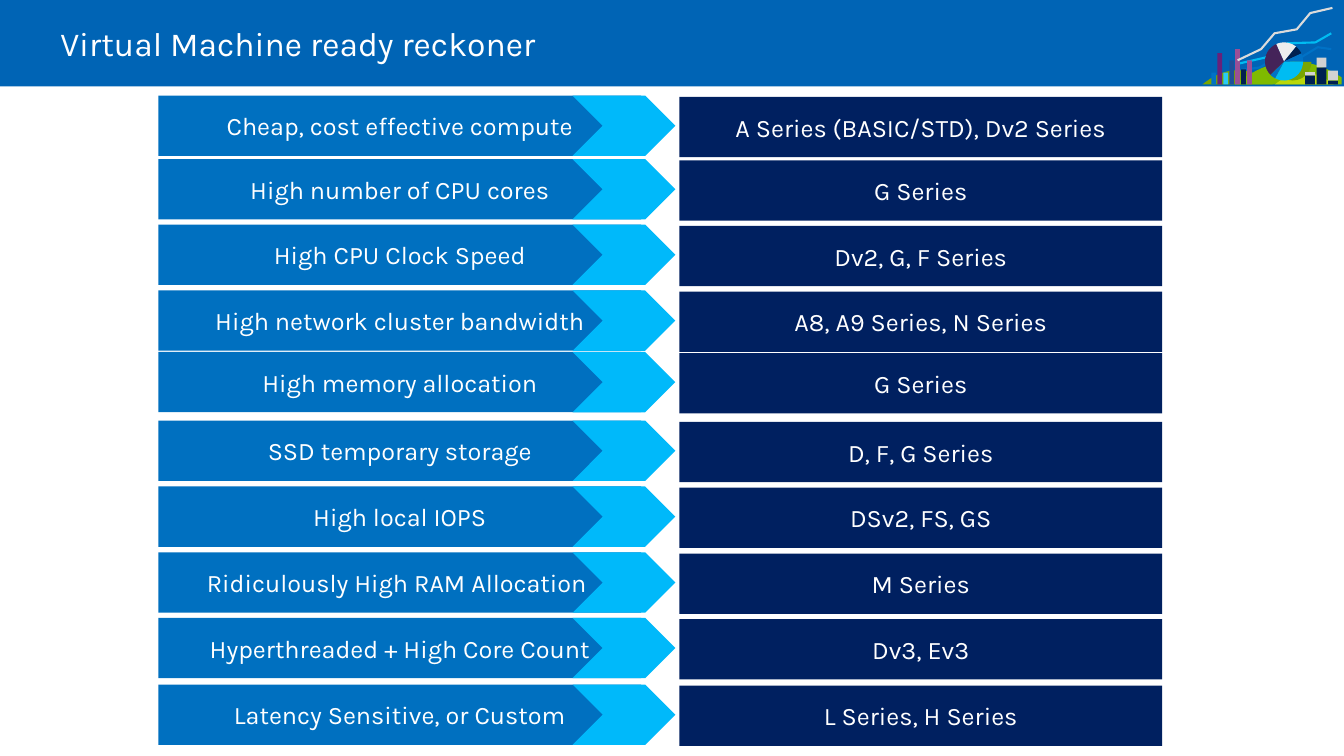
from math import cos, radians, sin

from pptx import Presentation
from pptx.dml.color import RGBColor
from pptx.enum.shapes import MSO_SHAPE
from pptx.enum.text import MSO_ANCHOR, PP_ALIGN
from pptx.util import Cm, Pt

RECT, CHEVRON = MSO_SHAPE.RECTANGLE, MSO_SHAPE.CHEVRON
LEFT, CENTER, MIDDLE = PP_ALIGN.LEFT, PP_ALIGN.CENTER, MSO_ANCHOR.MIDDLE

WHITE = RGBColor(0xFF, 0xFF, 0xFF)
HEADER = RGBColor(0x00, 0x64, 0xB5)
NEED = RGBColor(0x00, 0x70, 0xC0)
ARROW = RGBColor(0x00, 0xB9, 0xFA)
SERIES = RGBColor(0x00, 0x20, 0x60)
CYAN = RGBColor(0x00, 0xBC, 0xF2)
SKY = RGBColor(0x28, 0xC9, 0xF7)
BLUE = RGBColor(0x00, 0x72, 0xC6)
ROYAL = RGBColor(0x1F, 0x4F, 0x99)
NAVY = RGBColor(0x00, 0x20, 0x50)
DARK_GREEN = RGBColor(0x79, 0xA5, 0x00)
GREEN = RGBColor(0x7F, 0xBA, 0x00)
LIME = RGBColor(0xBA, 0xD8, 0x0A)
PLUM = RGBColor(0x44, 0x23, 0x59)
PURPLE = RGBColor(0x68, 0x21, 0x7A)
MAUVE = RGBColor(0x9B, 0x4F, 0x96)
PALE = RGBColor(0xED, 0xED, 0xED)
SILVER = RGBColor(0xDB, 0xDB, 0xDB)
GREY = RGBColor(0xD2, 0xD2, 0xD2)


def add_block(shapes, text, x, y, w, h, fill, kind=RECT, size=18, align=CENTER, inset=0.25):
    sp = shapes.add_shape(kind, Cm(x), Cm(y), Cm(w), Cm(h))
    sp.shadow.inherit = False
    sp.fill.solid()
    sp.fill.fore_color.rgb = fill
    sp.line.fill.background()
    if text:
        tf = sp.text_frame
        tf.word_wrap = True
        tf.vertical_anchor = MIDDLE
        tf.margin_left = Cm(inset)
        p = tf.paragraphs[0]
        p.alignment = align
        r = p.add_run()
        r.text = text
        r.font.name = "Karla"
        r.font.size = Pt(size)
        r.font.color.rgb = WHITE


def add_outline(shapes, points, color, closed=True):
    corners = [(Cm(x), Cm(y)) for x, y in points]
    builder = shapes.build_freeform(*corners[0])
    builder.add_line_segments(corners[1:], close=closed)
    sp = builder.convert_to_shape()
    sp.shadow.inherit = False
    if closed:
        sp.fill.solid()
        sp.fill.fore_color.rgb = color
        sp.line.fill.background()
    else:
        sp.fill.background()
        sp.line.color.rgb = color
        sp.line.width = Pt(1.5)


prs = Presentation()
prs.slide_width, prs.slide_height = Cm(33.87), Cm(19.05)
s = prs.slides.add_slide(prs.slide_layouts[6])

bar_width, bar_height = 12.17, 1.52
need_left, arrow_left, series_left = 3.99, 14.43, 17.12
rows = [
    (2.41, "Cheap, cost effective compute", "A Series (BASIC/STD), Dv2 Series"),
    (4.01, "High number of CPU cores", "G Series"),
    (5.66, "High CPU Clock Speed", "Dv2, G, F Series"),
    (7.32, "High network cluster bandwidth", "A8, A9 Series, N Series"),
    (8.87, "High memory allocation", "G Series"),
    (10.6, "SSD temporary storage", "D, F, G Series"),
    (12.26, "High local IOPS", "DSv2, FS, GS"),
    (13.92, "Ridiculously High RAM Allocation ", "M Series"),
    (15.57, "Hyperthreaded + High Core Count", "Dv3, Ev3"),
    (17.25, "Latency Sensitive, or Custom", "L Series, H Series"),
]
for top, need, series in rows:
    add_block(s.shapes, need, need_left, top, bar_width, bar_height, NEED)
    add_block(s.shapes, "", arrow_left, top, 2.59, bar_height, ARROW, kind=CHEVRON)
    add_block(s.shapes, series, series_left, top + 0.03, bar_width, bar_height, SERIES)

add_block(s.shapes, "Virtual Machine ready reckoner", 0, 0, 33.87, 2.18, HEADER,
          size=24, align=LEFT, inset=1.52)

art = s.shapes.add_group_shape().shapes
ground, art_right = 2.13, 33.81

cyan_trend = [(31.19, 1.61), (31.89, 1.45), (32.45, 1.09), (33.15, 1.07), (33.55, 0.84)]
blue_trend = [(31.19, 1.78), (31.75, 1.7), (32.21, 1.42), (32.75, 1.47), (33.21, 1.19), (33.55, 1.24)]
silver_trend = [(31.19, 1.52), (31.78, 1.24), (32.12, 0.84), (32.68, 0.74), (33.02, 0.33), (33.58, 0.2)]
add_outline(art, cyan_trend, CYAN, closed=False)
add_outline(art, blue_trend, BLUE, closed=False)

hills = [(31.19, 0.89, 0.36, DARK_GREEN), (32.59, 1.47, 0.58, GREEN), (32.87, 0.74, 0.3, LIME)]
for middle, half_width, height, color in hills:
    left, right = middle - half_width, min(middle + half_width, art_right)
    crest = []
    for i in range(21):
        x = left + (right - left) * i / 20
        crest.append((x, ground - height * (1 - ((x - middle) / half_width) ** 2)))
    add_outline(art, crest + [(right, ground), (left, ground)], color)

pie = (32.36, 1.55, 0.48)
pie_shadow = (32.58, 1.56, 0.47)
wedges = [
    (pie_shadow, 0, 180, DARK_GREEN),
    (pie, 0, 118, CYAN),
    (pie, 118, 136, BLUE),
    (pie, 136, 246, PLUM),
    (pie, 246, 309, PALE),
    (pie, 309, 335, NAVY),
    (pie, 335, 360, BLUE),
]
for (x, y, radius), start, end, color in wedges:
    angles = [radians(start + (end - start) * i / 12) for i in range(13)]
    arc = [(x + radius * cos(a), y + radius * sin(a)) for a in angles]
    add_outline(art, [(x, y)] + arc, color)

columns = [(0.3, BLUE), (0.79, PURPLE), (0.3, SKY), (0.61, ROYAL),
           (0.89, MAUVE), (0.38, NAVY), (0.61, MAUVE)]
for i, (height, color) in enumerate(columns):
    add_block(art, "", 30.53 + 0.15 * i, ground - height, 0.12, height, color)

stacked_columns = [(0.23, 0.08), (0.43, 0.25), (0.1, 0.25)]
for i, (base, cap) in enumerate(stacked_columns):
    x = 32.89 + 0.29 * i
    add_block(art, "", x, ground - base, 0.25, base, NAVY)
    add_block(art, "", x, ground - base - cap, 0.25, cap, GREY)

add_outline(art, silver_trend, SILVER, closed=False)

prs.save("out.pptx")
